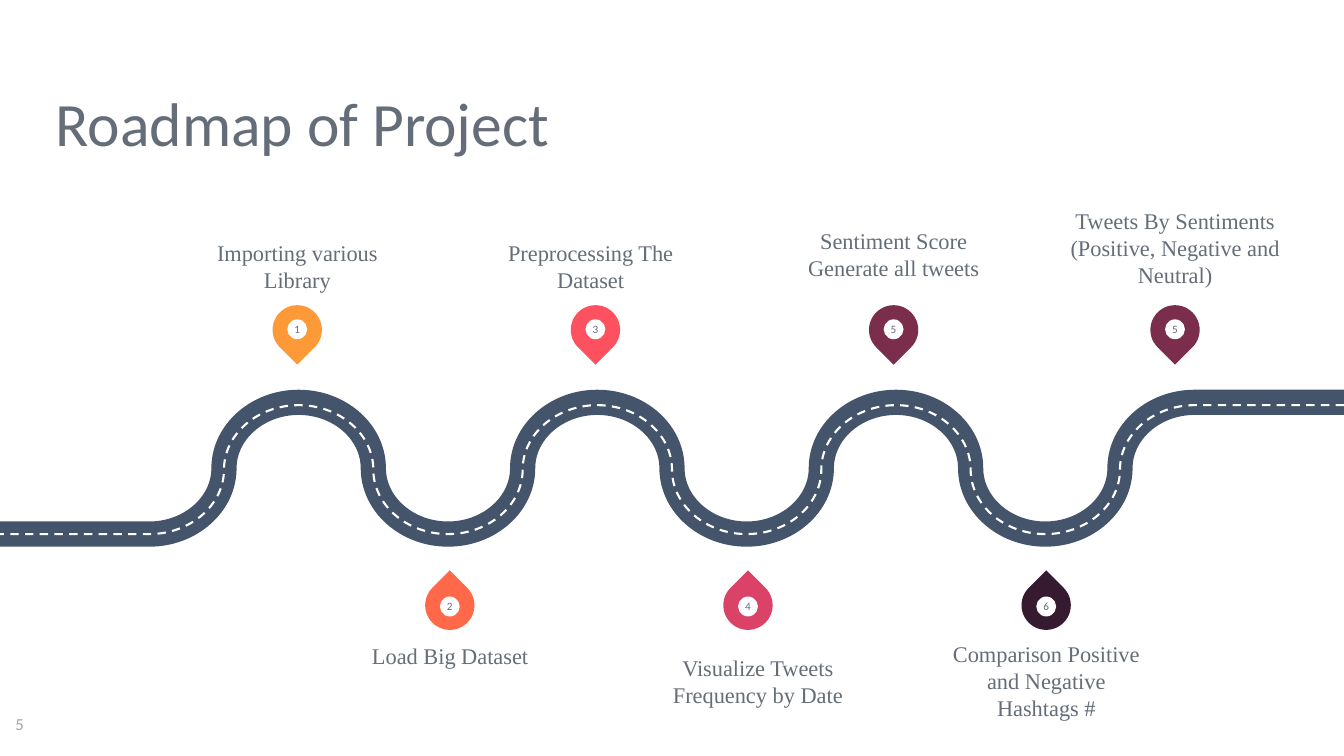
"""Build the project roadmap slide: a winding road with numbered pins and captions."""
from dataclasses import dataclass
from typing import Any

import lxml.etree
import pptx
import pptx.dml.color
import pptx.enum.dml
import pptx.enum.shapes
import pptx.enum.text
import pptx.oxml.ns
import pptx.util

Pt = pptx.util.Pt
RGB = pptx.dml.color.RGBColor.from_string
SHAPE = pptx.enum.shapes.MSO_SHAPE
ANCHOR = pptx.enum.text.MSO_ANCHOR
ALIGN = pptx.enum.text.PP_ALIGN
DASH = pptx.enum.dml.MSO_LINE
Point = tuple[float, float]


@dataclass(frozen=True)
class Theme:
    text: str = "656D78"
    muted: str = "9FA3A8"
    white: str = "FFFFFF"
    road: str = "44546A"
    sans: str = "Calibri"
    serif: str = "Times New Roman"
    title: float = 44
    caption: float = 16
    number: float = 12
    pin: float = 8


@dataclass(frozen=True)
class Pin:
    number: str
    x: float
    upper: bool
    color: str


@dataclass(frozen=True)
class Label:
    text: str
    box: tuple[float, float, float, float]
    anchor: Any = ANCHOR.TOP
    align: Any = ALIGN.CENTER
    size: float = Theme.caption
    font: str = Theme.serif
    color: str = Theme.text
    inset: float = 0
    spacing: float = 1.0


@dataclass(frozen=True)
class RoadLine:
    top: float
    color: str
    width: float
    dash: Any


THEME = Theme()
WIDTH, HEIGHT = 960, 540
ROAD_BOTTOM = 381.5
BEND = WIDTH / 18
FIRST_BEND, LAST_BEND = 2, 16
ROUNDNESS = 0.55
PIN_SIZE, DOT_SIZE = 35.2, 14.2
STEP, UPPER_X, LOWER_X = 213, 212.3, 321.3
CAPTION_W, CAPTION_H = 135.4, 56.2

PINS = [
    Pin("1", UPPER_X, True, "FD9A37"),
    Pin("3", UPPER_X + STEP, True, "FE5160"),
    Pin("5", UPPER_X + 2 * STEP, True, "7B2E4B"),
    Pin("6", LOWER_X + 2 * STEP, False, "361A30"),
    Pin("4", LOWER_X + STEP, False, "DB4268"),
    Pin("2", LOWER_X, False, "FF6848"),
    Pin("5", 839.3, True, "7B2E4B"),
]
LABELS = [
    Label("Roadmap of Project", (30.2, 56.9, 519, 67.7), align=ALIGN.LEFT, size=THEME.title,
          font=THEME.sans, inset=9.6, spacing=0.9),
    Label("5", (1.4, 502.6, 57.6, 37.4), align=ALIGN.LEFT, size=THEME.number,
          font=THEME.sans, color=THEME.muted, inset=9.6),
    Label("Importing various Library", (144.7, 153, CAPTION_W, CAPTION_H), ANCHOR.BOTTOM),
    Label("Preprocessing The Dataset", (354.2, 153, CAPTION_W, CAPTION_H), ANCHOR.BOTTOM),
    Label("Tweets By Sentiments (Positive, Negative and Neutral)", (763.4, 135.7, 151.9, 69.8),
          ANCHOR.BOTTOM),
    Label("Load Big Dataset", (253.8, 458.6, CAPTION_W, CAPTION_H)),
    Label("Sentiment Score Generate all tweets", (570.6, 162.4, CAPTION_W, CAPTION_H)),
    Label("Comparison Positive and Negative Hashtags #", (679.7, 457.2, CAPTION_W, 57.6)),
    Label("Visualize Tweets Frequency by Date", (473.6, 449.3, CAPTION_W, CAPTION_H), ANCHOR.BOTTOM),
]
ROAD_LINES = [
    RoadLine(287.4, THEME.road, 18, DASH.SOLID),
    RoadLine(289.4, THEME.white, 1.5, DASH.DASH),
]


def set_all(obj: Any, values: dict[str, Any]) -> None:
    for name, value in values.items():
        setattr(obj, name, value)


def write(s: Any, label: Label) -> None:
    tf = s.text_frame
    margins = dict.fromkeys(
        ("margin_left", "margin_top", "margin_right", "margin_bottom"), Pt(label.inset))
    set_all(tf, {"word_wrap": True, "vertical_anchor": label.anchor, **margins})
    p = tf.paragraphs[0]
    set_all(p, {"alignment": label.align, "line_spacing": label.spacing})
    r = p.add_run()
    r.text = label.text
    set_all(r.font, {"size": Pt(label.size), "name": label.font})
    r.font.color.rgb = RGB(label.color)


def add_label(shapes: Any, label: Label) -> None:
    write(shapes.add_textbox(*map(Pt, label.box)), label)


def add_disc(shapes: Any, kind: Any, x: float, y: float, size: float, color: str) -> Any:
    s = shapes.add_shape(kind, Pt(x - size / 2), Pt(y - size / 2), Pt(size), Pt(size))
    s.shadow.inherit = False
    s.fill.solid()
    s.fill.fore_color.rgb = RGB(color)
    s.line.fill.background()
    return s


def add_pin(shapes: Any, pin: Pin) -> None:
    group = shapes.add_group_shape().shapes
    pin_y, dot_y, turn = (235.6, 235.2, 135) if pin.upper else (432.3, 433.2, 315)
    drop = add_disc(group, SHAPE.TEAR, pin.x, pin_y, PIN_SIZE, pin.color)
    drop.rotation = turn
    dot = add_disc(group, SHAPE.OVAL, pin.x, dot_y, DOT_SIZE, THEME.white)
    write(dot, Label(pin.number, (0, 0, 0, 0), ANCHOR.MIDDLE, size=THEME.pin, font=THEME.sans))


def bend_point(index: int, top: float) -> Point:
    middle = (top + ROAD_BOTTOM) / 2
    return index * BEND, (top, middle, ROAD_BOTTOM, middle)[index % 4]


def handle(index: int, toward: int, top: float) -> Point:
    (x, y), (next_x, next_y) = bend_point(index, top), bend_point(toward, top)
    if index % 2:
        return x, y + ROUNDNESS * (next_y - y)
    return x + ROUNDNESS * (next_x - x), y


def road_points(top: float) -> list[tuple[int, int]]:
    points = [(WIDTH, top), bend_point(LAST_BEND, top)]
    for i in range(LAST_BEND, FIRST_BEND, -1):
        points += [handle(i, i - 1, top), handle(i - 1, i, top), bend_point(i - 1, top)]
    points.append((0, ROAD_BOTTOM))
    return [(Pt(x), Pt(y)) for x, y in points]


def curve_bends(s: Any) -> None:
    bends = s.element.xpath(".//a:lnTo")[1:-1]
    for i in range(0, len(bends), 3):
        curve = lxml.etree.Element(pptx.oxml.ns.qn("a:cubicBezTo"))
        bends[i].addprevious(curve)
        for line in bends[i:i + 3]:
            curve.append(line[0])
            line.getparent().remove(line)


def add_road(shapes: Any, road: RoadLine) -> None:
    start, *rest = road_points(road.top)
    builder = shapes.build_freeform(*start)
    builder.add_line_segments(rest, close=False)
    s = builder.convert_to_shape()
    curve_bends(s)
    s.shadow.inherit = False
    s.fill.background()
    s.line.color.rgb = RGB(road.color)
    set_all(s.line, {"width": Pt(road.width), "dash_style": road.dash})


def main() -> None:
    prs = pptx.Presentation()
    set_all(prs, {"slide_width": Pt(WIDTH), "slide_height": Pt(HEIGHT)})
    shapes = prs.slides.add_slide(prs.slide_layouts[6]).shapes
    for pin in PINS:
        add_pin(shapes, pin)
    for label in LABELS:
        add_label(shapes, label)
    for road in ROAD_LINES:
        add_road(shapes, road)
    prs.save("out.pptx")


if __name__ == "__main__":
    main()
